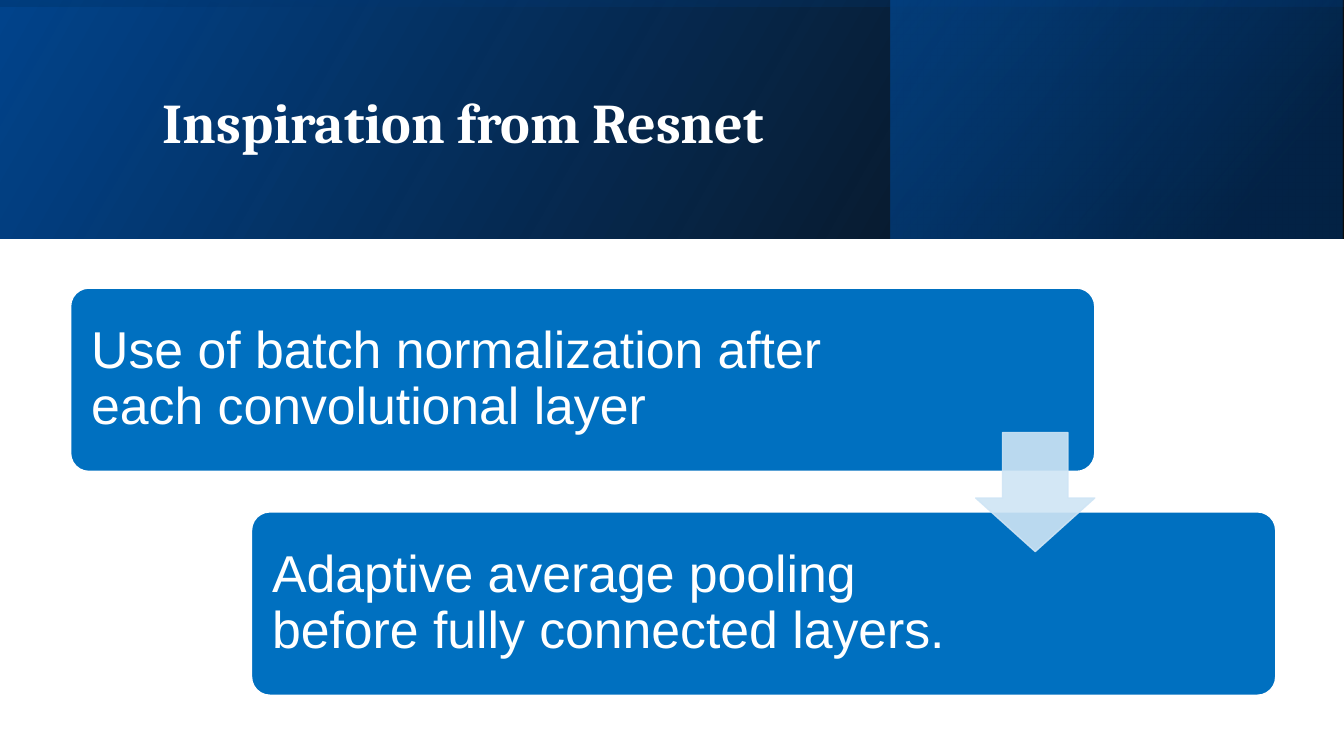
"""Build the Resnet inspiration slide: a gradient banner over two stepped boxes."""
from dataclasses import dataclass

from lxml import etree
from pptx import Presentation
from pptx import util as u
from pptx.dml.color import RGBColor
from pptx.enum import shapes, text
from pptx.oxml.ns import qn


@dataclass(frozen=True)
class Theme:
    white: str = "FFFFFF"
    black: str = "000000"
    navy: str = "00448C"
    deep: str = "002D5E"
    bright: str = "005BBB"
    box: str = "0070C0"
    arrow: str = "CFE5F5"
    title_font: str = "Cambria"
    body_font: str = "Arial"
    title_size: int = 40
    body_size: int = 37


class Deck:
    def __init__(self, theme, width, height):
        self.theme = theme
        self.prs = Presentation()
        self.prs.slide_width, self.prs.slide_height = u.Cm(width), u.Cm(height)
        self.s = self.prs.slides.add_slide(self.prs.slide_layouts[5])

    def paint(self, color, rgb):
        color.rgb = RGBColor.from_string(rgb)

    def fade(self, parent, opacity):
        for clr in parent.iter(qn("a:srgbClr")):
            etree.SubElement(clr, qn("a:alpha")).set("val", str(opacity * 1000))

    def shape(self, kind, at, adjustments=()):
        sp = self.s.shapes.add_shape(kind, *map(u.Cm, at))
        sp.shadow.inherit = False
        for i, value in enumerate(adjustments):
            sp.adjustments[i] = value
        return sp

    def band(self, at, stops, angle, rotation=0):
        sp = self.shape(shapes.MSO_SHAPE.RECTANGLE, at)
        sp.rotation = rotation
        sp.element.spPr.xfrm.set("flipH", "1")
        sp.line.fill.background()
        sp.fill.gradient()
        sp.fill.gradient_angle = 360 - angle
        marks = sp.element.spPr.findall(".//" + qn("a:gs"))
        for stop, mark, (position, rgb, opacity) in zip(sp.fill.gradient_stops, marks, stops):
            stop.position = position / 100
            self.paint(stop.color, rgb)
            self.fade(mark, opacity)

    def block(self, kind, at, adjustments, fill, line, opacity=100):
        sp = self.shape(kind, at, adjustments)
        sp.fill.solid()
        self.paint(sp.fill.fore_color, fill)
        self.paint(sp.line.color, line)
        sp.line.width = u.Pt(1)
        if opacity < 100:
            self.fade(sp.element.spPr, opacity)

    def set_text(self, sp, words, font, inset=None):
        tf = sp.text_frame
        frame = {"word_wrap": True, "auto_size": text.MSO_AUTO_SIZE.NONE,
                 "vertical_anchor": text.MSO_ANCHOR.MIDDLE}
        if inset is not None:
            frame.update({f"margin_{side}": u.Cm(inset)
                          for side in ("left", "top", "right", "bottom")})
        for name, value in frame.items():
            setattr(tf, name, value)
        p = tf.paragraphs[0]
        p.alignment, p.line_spacing = text.PP_ALIGN.LEFT, 0.9
        r = p.add_run()
        r.text = words
        for name, value in font.items():
            setattr(r.font, name, value)
        self.paint(r.font.color, self.theme.white)

    def title(self, at, words):
        sp = self.s.shapes.title
        self.s.shapes.element.append(sp.element)
        sp.left, sp.top, sp.width, sp.height = map(u.Cm, at)
        self.set_text(sp, words, {"name": self.theme.title_font, "bold": True,
                                  "size": u.Pt(self.theme.title_size)})

    def label(self, at, words):
        sp = self.s.shapes.add_textbox(*map(u.Cm, at))
        self.set_text(sp, words, {"name": self.theme.body_font,
                                  "size": u.Pt(self.theme.body_size)}, inset=0.38)


def main():
    t = Theme()
    width, banner = 33.87, 6.02
    deck = Deck(t, width, 19.05)
    deck.band((0, 0, width, banner), [(0, t.black, 96), (100, t.navy, 100)], 330)
    deck.band((22.45, 0, 11.39, banner), [(19, t.deep, 68), (100, t.bright, 48)], 320)
    offset = (width - banner) / 2
    deck.band((offset, -offset, banner, width),
              [(23, t.navy, 16), (99, t.black, 45)], 350, rotation=270)
    deck.title((3.84, 0.97, 27, 4.37), "Inspiration from Resnet")

    steps = [("Use of batch normalization after each convolutional layer", 21.03),
             ("Adaptive average pooling before fully connected layers.", 17.98)]
    box_w, box_h, pad = 25.81, 4.62, 0.14
    for i, (words, text_w) in enumerate(steps):
        left, top = 1.78 + 4.56 * i, 7.26 + 5.64 * i
        deck.block(shapes.MSO_SHAPE.ROUNDED_RECTANGLE, (left, top, box_w, box_h),
                   [0.1], t.box, t.white)
        deck.label((left + pad, top + pad, text_w, box_h - 2 * pad), words)
    deck.block(shapes.MSO_SHAPE.DOWN_ARROW, (24.59, 10.9, 3, 3),
               [0.55, 0.45], t.arrow, t.arrow, opacity=90)
    deck.prs.save("out.pptx")


if __name__ == "__main__":
    main()
